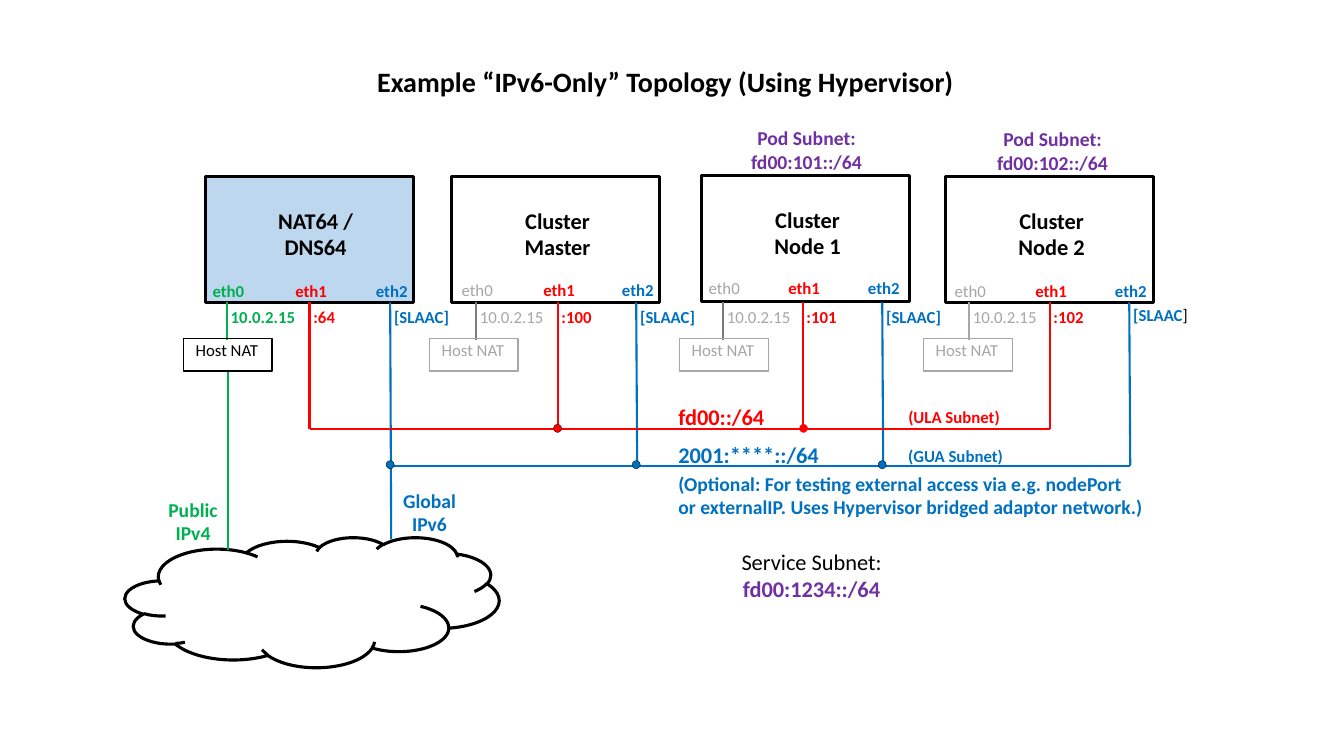
import dataclasses

import pptx
import pptx.dml.color
import pptx.enum.shapes
import pptx.enum.text
import pptx.util
from pptx.util import Inches

RGBColor = pptx.dml.color.RGBColor
Shape = pptx.enum.shapes.MSO_SHAPE
Align = pptx.enum.text.PP_ALIGN
Anchor = pptx.enum.text.MSO_ANCHOR

BLACK = RGBColor(0x00, 0x00, 0x00)
RED = RGBColor(0xFF, 0x00, 0x00)
BLUE = RGBColor(0x00, 0x70, 0xC0)
GREEN = RGBColor(0x00, 0xB0, 0x50)
PURPLE = RGBColor(0x70, 0x30, 0xA0)
GRAY = RGBColor(0xA6, 0xA6, 0xA6)
DARK_GRAY = RGBColor(0x7C, 0x7C, 0x7C)
PALE_BLUE = RGBColor(0xBD, 0xD7, 0xEE)

FONT = "Calibri"
ULA_Y = 4.26
GUA_Y = 4.62


@dataclasses.dataclass
class Machine:
    name: str
    left: float
    top: float
    wires: tuple
    label_top: float
    ula_address: str
    eth0_color: RGBColor = GRAY
    eth0_wire_color: RGBColor = DARK_GRAY
    nat_color: RGBColor = GRAY
    fill: RGBColor = None
    name_inset: float = 0.04


MACHINES = [
    Machine("NAT64 /\vDNS64", 2.04, 1.75, (2.25, 3.07, 3.87), 2.74, ":64",
            GREEN, GREEN, BLACK, PALE_BLUE, 0.12),
    Machine("Cluster\vMaster", 4.48, 1.75, (4.72, 5.53, 6.31), 2.73, ":100"),
    Machine("Cluster\vNode 1", 6.96, 1.74, (7.17, 7.96, 8.75), 2.71, ":101"),
    Machine("Cluster\vNode 2", 9.38, 1.75, (9.61, 10.41, 11.2), 2.74, ":102",
            eth0_wire_color=GRAY),
]


def style_para(para, size, color, bold, align=Align.LEFT):
    para.alignment = align
    para.font.name = FONT
    para.font.size = pptx.util.Pt(size)
    para.font.bold = bold
    para.font.color.rgb = color


def write(frame, text, size, color, bold=True, align=Align.LEFT):
    """Fill a frame; a newline starts a paragraph, a vertical tab breaks a line."""
    frame.word_wrap = True
    frame.vertical_anchor = Anchor.TOP
    frame.text = text
    for para in frame.paragraphs:
        style_para(para, size, color, bold, align)


def add_text(page, left, top, width, height, text, size, color, bold=True, align=Align.LEFT):
    box = page.shapes.add_textbox(Inches(left), Inches(top), Inches(width), Inches(height))
    write(box.text_frame, text, size, color, bold, align)
    return box


def add_outline(page, kind, left, top, width, height, color, weight, fill=None):
    shape = page.shapes.add_shape(kind, Inches(left), Inches(top), Inches(width), Inches(height))
    shape.shadow.inherit = False
    shape.line.color.rgb = color
    shape.line.width = pptx.util.Pt(weight)
    if fill is None:
        shape.fill.background()
    else:
        shape.fill.solid()
        shape.fill.fore_color.rgb = fill
    return shape


def add_wire(page, x1, y1, x2, y2, color, weight=1.5):
    wire = page.shapes.add_connector(
        pptx.enum.shapes.MSO_CONNECTOR.STRAIGHT, Inches(x1), Inches(y1), Inches(x2), Inches(y2))
    wire.line.color.rgb = color
    wire.line.width = pptx.util.Pt(weight)
    properties = wire._element.spPr
    properties.append(pptx.oxml.parse_xml(
        '<a:effectLst xmlns:a="http://schemas.openxmlformats.org/drawingml/2006/main"/>'))


def add_joint(page, x, y, color, line_color=BLACK):
    size = 0.08
    add_outline(page, Shape.OVAL, x - size / 2, y - size / 2, size, size, line_color, 0.25, color)


def add_machine(page, machine):
    box = add_outline(page, Shape.RECTANGLE, machine.left, machine.top, 2.06, 1.25,
                      BLACK, 2.25, machine.fill)
    frame = box.text_frame
    write(frame, machine.name, 16, BLACK, align=Align.CENTER)
    frame.margin_left, frame.margin_right = Inches(machine.name_inset), 0
    frame.margin_top = Inches(0.3)

    active = machine.eth0_color != GRAY
    ports = zip(machine.wires, (machine.eth0_color, RED, BLUE), (active, True, True),
                ("10.0.2.15", machine.ula_address, "[SLAAC]"))
    for number, (x, color, bold, address) in enumerate(ports):
        add_text(page, x - 0.24, machine.label_top, 0.52, 0.3, f"eth{number}", 12, color, bold)
        note = add_text(page, x - 0.06, 2.99, 0.85, 0.3, address, 12, color, bold)
    if machine is MACHINES[-1]:
        note.top = Inches(2.97)
        para = note.text_frame.paragraphs[0]
        para.runs[0].text = "[SLAAC"
        bracket = para.add_run()
        bracket.text = "]"
        bracket.font.bold = False
        bracket.font.color.rgb = BLACK

    eth0, eth1, eth2 = machine.wires
    add_wire(page, eth0, 3, eth0, 3.37, machine.eth0_wire_color, 1.5 if active else 1)
    add_wire(page, eth1, 3, eth1, ULA_Y, RED)
    add_wire(page, eth2, 3, eth2 + 0.01, 5.35 if active else GUA_Y, BLUE)

    nat = add_outline(page, Shape.RECTANGLE, machine.left - 0.22, 3.36, 0.88, 0.32,
                      machine.nat_color, 1)
    write(nat.text_frame, "Host NAT", 12, machine.nat_color, False)
    nat.text_frame.margin_left, nat.text_frame.margin_right = Inches(0.12), 0
    nat.text_frame.margin_top = Inches(0.01)


def add_subnets(page):
    first, master, node, last = (machine.wires for machine in MACHINES)
    add_wire(page, first[1], ULA_Y, last[1], ULA_Y, RED)
    add_wire(page, first[2], GUA_Y, last[2] + 0.01, GUA_Y, BLUE)
    add_joint(page, master[1], ULA_Y - 0.01, RED)
    add_joint(page, node[1] + 0.01, ULA_Y - 0.01, RED, RED)
    for wires in (first, master, node):
        add_joint(page, wires[2], GUA_Y - 0.01, BLUE)

    add_text(page, 6.63, 3.95, 1.35, 0.37, "fd00::/64", 16, RED)
    add_text(page, 8.91, 3.99, 1.35, 0.3, "(ULA Subnet)", 12, RED)
    add_text(page, 6.63, 4.33, 2.54, 0.37, "2001:****::/64", 16, BLUE)
    add_text(page, 8.91, 4.37, 1.57, 0.3, "(GUA Subnet)", 12, BLUE)
    add_text(page, 6.63, 4.63, 4.9, 0.57,
             "(Optional: For testing external access via e.g. nodePort\v"
             "or externalIP. Uses Hypervisor bridged adaptor network.)", 14, BLUE)
    for left, top, number in ((6.97, 1.2, 101), (9.41, 1.21, 102)):
        add_text(page, left, top, 2.06, 0.57, f"Pod Subnet:\nfd00:{number}::/64", 14, PURPLE,
                 align=Align.CENTER)
    service = add_text(page, 5.63, 5.39, 4.84, 0.64, "Service Subnet:\nfd00:1234::/64", 16, BLACK,
                       False, Align.CENTER)
    style_para(service.text_frame.paragraphs[1], 16, PURPLE, True, Align.CENTER)


def add_internet(page):
    add_outline(page, Shape.CLOUD, 1.24, 5.33, 3.71, 1.29, BLACK, 2.25)
    add_wire(page, 2.26, 3.69, 2.26, 5.46, GREEN)
    add_text(page, 1.48, 4.89, 0.87, 0.57, "Public\vIPv4", 14, GREEN, align=Align.CENTER)
    add_text(page, 3.85, 4.8, 0.82, 0.57, "Global\vIPv6", 14, BLUE, align=Align.CENTER)


def main():
    deck = pptx.Presentation()
    deck.slide_width, deck.slide_height = Inches(13.33), Inches(7.5)
    page = deck.slides.add_slide(deck.slide_layouts[5])

    title = page.shapes.title
    title.left, title.top = Inches(3.64), Inches(0.59)
    title.width, title.height = Inches(5.96), Inches(0.44)
    write(title.text_frame, "Example “IPv6-Only” Topology (Using Hypervisor)", 20, BLACK)

    for machine in MACHINES:
        add_machine(page, machine)
    add_subnets(page)
    add_internet(page)
    deck.save("out.pptx")


if __name__ == "__main__":
    main()
